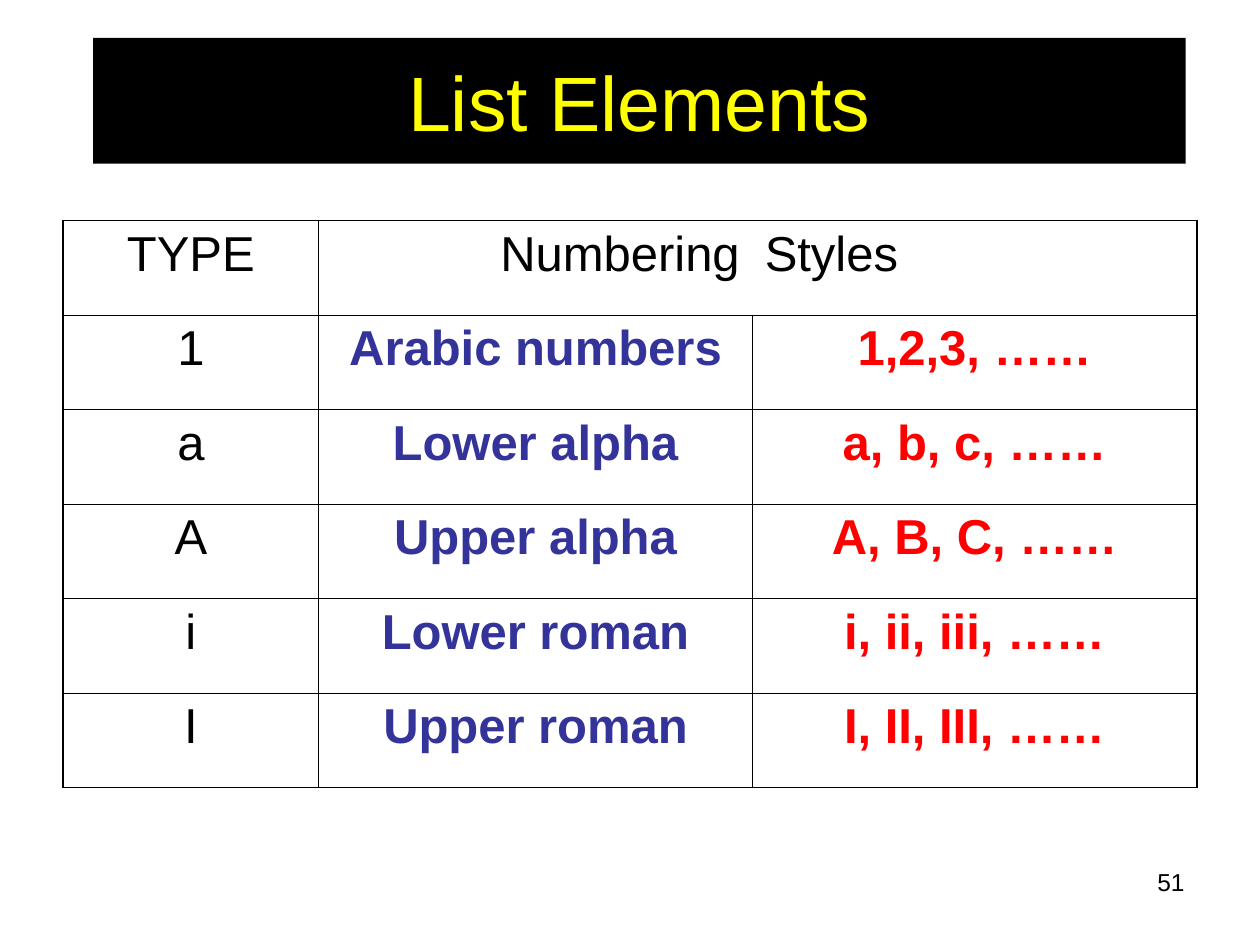
from dataclasses import dataclass

from lxml import etree
from pptx import Presentation
from pptx import util as u
from pptx.dml.color import RGBColor
from pptx.enum import shapes, text
from pptx.oxml import ns


@dataclass(frozen=True)
class Theme:
    font: str = "Arial"
    ink: str = "000000"
    title: str = "FFFF00"
    style_name: str = "333399"
    sample: str = "FF0000"
    title_size: int = 44
    table_size: int = 28
    number_size: int = 14
    outer_line: float = 1.08
    inner_line: float = 0.45


THEME = Theme()
ALIGN = text.PP_ALIGN

COLUMN_WIDTHS = (146.16, 247.68, 254.16)
ROW_HEIGHT = 54
ROWS = (
    ("TYPE", "Numbering", "Styles"),
    ("1", "Arabic numbers", "1,2,3, ……"),
    ("a", "Lower alpha", "a, b, c, ……"),
    ("A", "Upper alpha", "A, B, C, ……"),
    ("i", "Lower roman", "i, ii, iii, ……"),
    ("I", "Upper roman", "I, II, III, ……"),
)
HEADER_ALIGNS = (ALIGN.CENTER, ALIGN.RIGHT, ALIGN.LEFT)
COLUMN_COLOURS = (THEME.ink, THEME.style_name, THEME.sample)


def write(frame, words, size, colour, align, bold=False):
    para = frame.paragraphs[0]
    para.alignment = align
    span = para.add_run()
    span.text = words
    span.font.name = THEME.font
    span.font.size = u.Pt(size)
    span.font.bold = bold
    span.font.color.rgb = RGBColor.from_string(colour)
    return para


def add_title(page):
    box = page.shapes.add_shape(shapes.MSO_SHAPE.RECTANGLE, u.Pt(53.28), u.Pt(21.6),
                                u.Pt(624.24), u.Pt(72))
    box.shadow.inherit = False
    box.fill.solid()
    box.fill.fore_color.rgb = RGBColor.from_string(THEME.ink)
    box.line.fill.background()
    box.text_frame.vertical_anchor = text.MSO_ANCHOR.MIDDLE
    write(box.text_frame, "List Elements", THEME.title_size, THEME.title, ALIGN.CENTER)


def set_borders(cell, widths):
    """Draw the cell's sides; a width of 0 leaves that side without a line."""
    properties = cell._tc.get_or_add_tcPr()
    for side, width in widths.items():
        line = etree.SubElement(properties, ns.qn(f"a:ln{side}"), w=str(u.Pt(width)))
        if width:
            fill = etree.SubElement(line, ns.qn("a:solidFill"))
            etree.SubElement(fill, ns.qn("a:srgbClr"), val=THEME.ink)
        else:
            etree.SubElement(line, ns.qn("a:noFill"))


def border_widths(row, column):
    """Heavy lines round the table, fine ones inside, none between the two header words."""
    def pick(on_edge):
        return THEME.outer_line if on_edge else THEME.inner_line

    widths = {"L": pick(column == 0), "R": pick(column == len(COLUMN_WIDTHS) - 1),
              "T": pick(row == 0), "B": pick(row == len(ROWS) - 1)}
    if row == 0 and column > 0:
        widths["R" if column == 1 else "L"] = 0
    return widths


def add_styles_table(page):
    table = page.shapes.add_table(len(ROWS), len(COLUMN_WIDTHS), u.Pt(36), u.Pt(126),
                                  u.Pt(sum(COLUMN_WIDTHS)),
                                  u.Pt(ROW_HEIGHT * len(ROWS))).table
    table.first_row = table.horz_banding = False
    for column, width in zip(table.columns, COLUMN_WIDTHS):
        column.width = u.Pt(width)
    for r, words in enumerate(ROWS):
        table.rows[r].height = u.Pt(ROW_HEIGHT)
        for c, word in enumerate(words):
            cell = table.cell(r, c)
            set_borders(cell, border_widths(r, c))
            cell.fill.background()
            header = r == 0
            para = write(cell.text_frame, word, THEME.table_size,
                         THEME.ink if header else COLUMN_COLOURS[c],
                         HEADER_ALIGNS[c] if header else ALIGN.CENTER,
                         bold=not header and c > 0)
            para.space_before = u.Pt(7)


def add_page_number(page):
    box = page.shapes.add_textbox(u.Pt(516.24), u.Pt(491.76), u.Pt(167.76), u.Pt(37.44))
    box.text_frame.word_wrap = True
    write(box.text_frame, "51", THEME.number_size, THEME.ink, ALIGN.RIGHT)


def main():
    deck = Presentation()
    deck.slide_width, deck.slide_height = u.Pt(720), u.Pt(540)
    page = deck.slides.add_slide(deck.slide_layouts[6])
    add_title(page)
    add_styles_table(page)
    add_page_number(page)
    deck.save("out.pptx")


if __name__ == "__main__":
    main()
